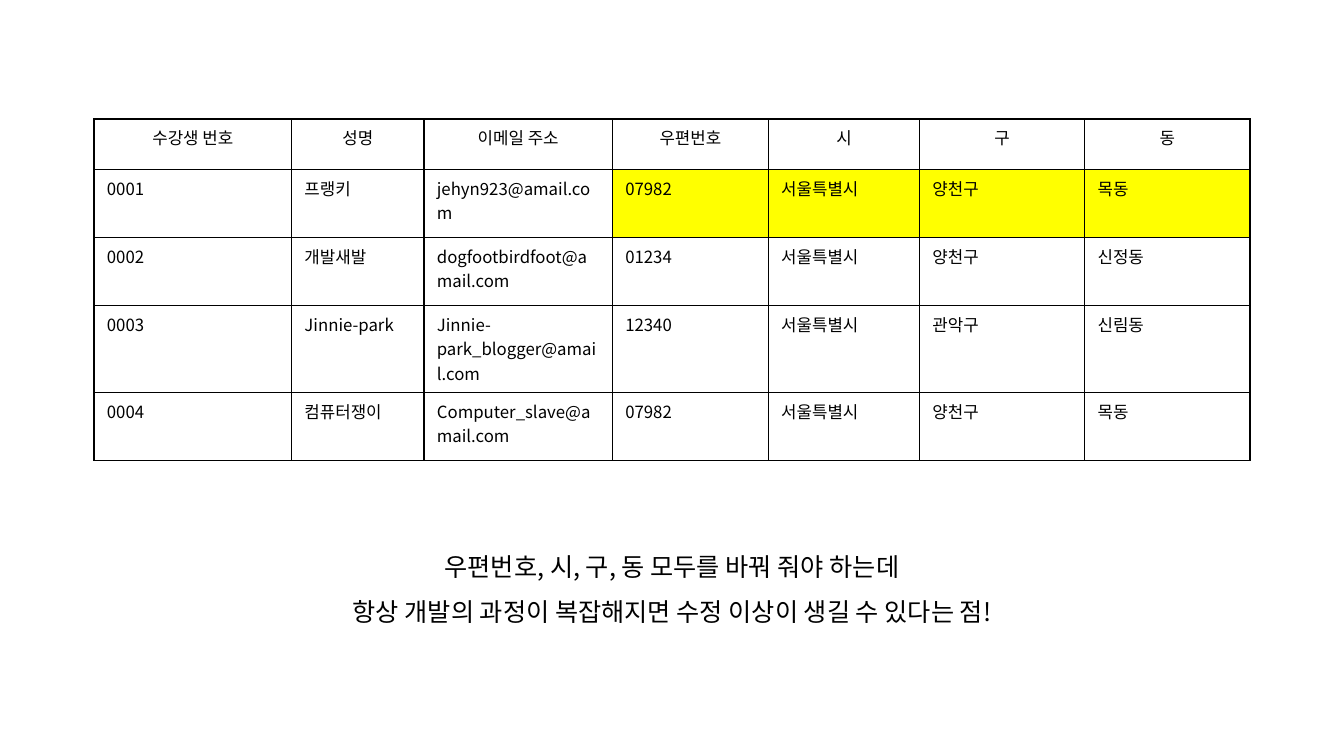
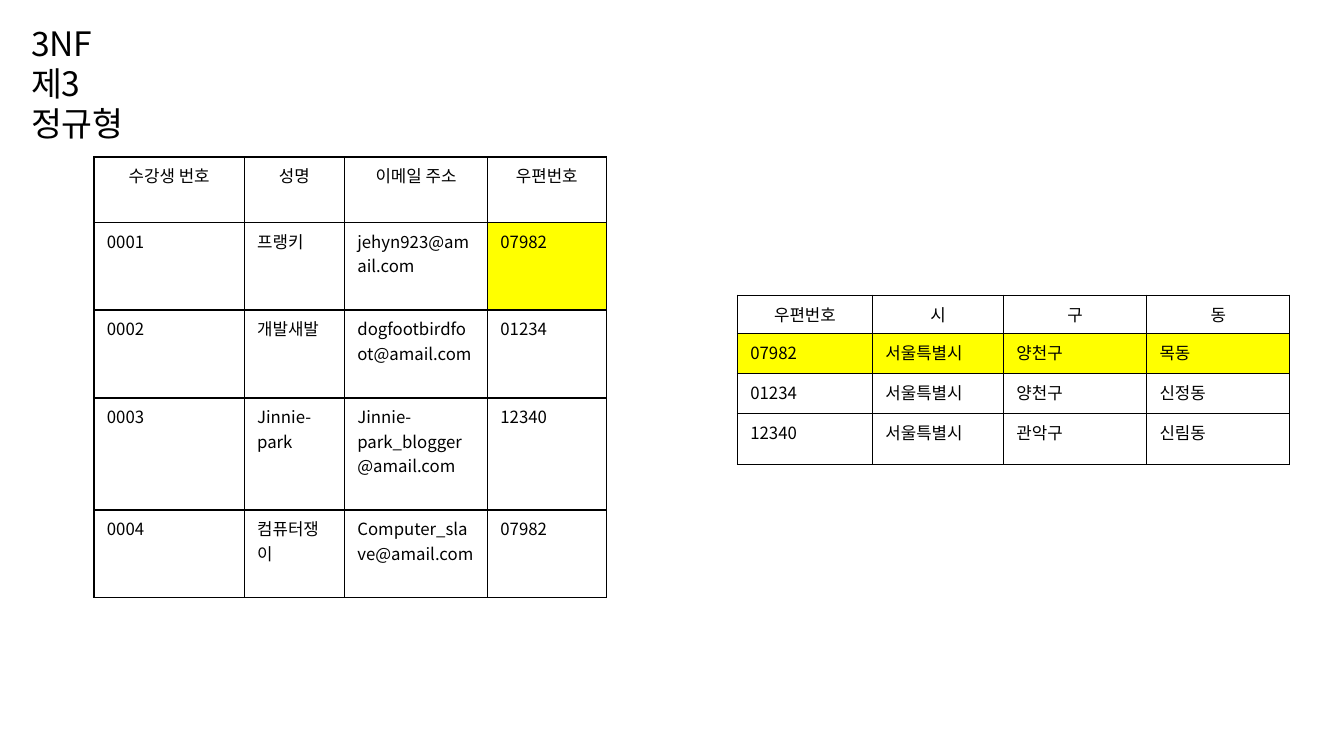
from dataclasses import dataclass

from lxml.etree import SubElement as Sub
from pptx import Presentation
from pptx.dml.color import RGBColor as RGB
from pptx.enum.text import MSO_ANCHOR as Anchor
from pptx.enum.text import MSO_AUTO_SIZE as Fit
from pptx.enum.text import PP_ALIGN as Align
from pptx.oxml.ns import qn
from pptx.util import Pt


@dataclass
class Theme:
    face: str = "Noto Sans CJK KR"
    ink: str = "000000"
    paper: str = "FFFFFF"
    mark: str = "FFFF00"
    cell: int = 12
    note: int = 18
    title: int = 24
    edge: int = 1


theme = Theme()


def write(para, text, size, align=Align.LEFT, pitch=None):
    """Add one run in the deck's font to a paragraph."""
    para.alignment = align
    if pitch:
        para.line_spacing = Pt(pitch)
    run = para.add_run()
    run.text = text
    font = run.font
    font.size, font.bold, font.name = Pt(size), False, theme.face
    font.color.rgb = RGB.from_string(theme.ink)
    Sub(font._element, qn("a:ea"), typeface=theme.face)


def grid(slide, left, top, cols, rows, data, marks):
    """Add a ruled table; the marked columns of its first record are lit."""
    frame = slide.shapes.add_table(len(rows), len(cols), Pt(left), Pt(top),
                                   Pt(sum(cols)), Pt(sum(rows)))
    table = frame.table
    table.first_row = table.horz_banding = False
    for col, width in zip(table.columns, cols):
        col.width = Pt(width)
    for row, height in zip(table.rows, rows):
        row.height = Pt(height)
    for r, texts in enumerate(data):
        for c, text in enumerate(texts):
            cell = table.cell(r, c)
            cell.margin_left = cell.margin_right = Pt(9.2)
            cell.margin_top = cell.margin_bottom = Pt(4.6)
            # Borders come before the fill in the cell's XML
            props = cell._tc.get_or_add_tcPr()
            for side in "LRTB":
                line = Sub(props, qn(f"a:ln{side}"), w=str(Pt(theme.edge)))
                fill = Sub(line, qn("a:solidFill"))
                Sub(fill, qn("a:srgbClr"), val=theme.ink)
            lit = r == 1 and c in marks
            cell.fill.solid()
            cell.fill.fore_color.rgb = RGB.from_string(
                theme.mark if lit else theme.paper)
            write(cell.text_frame.paragraphs[0], text, theme.cell,
                  Align.LEFT if r else Align.CENTER)


deck = Presentation()
deck.slide_width, deck.slide_height = Pt(960), Pt(540)

# Records shared by both slides
data = [
    ("수강생 번호", "성명", "이메일 주소", "우편번호", "시", "구", "동"),
    ("0001", "프랭키", "jehyn923@amail.com",
     "07982", "서울특별시", "양천구", "목동"),
    ("0002", "개발새발", "dogfootbirdfoot@amail.com",
     "01234", "서울특별시", "양천구", "신정동"),
    ("0003", "Jinnie-park", "Jinnie-park_blogger@amail.com",
     "12340", "서울특별시", "관악구", "신림동"),
    ("0004", "컴퓨터쟁이", "Computer_slave@amail.com",
     "07982", "서울특별시", "양천구", "목동"),
]
left = 67.2

# Slide 1: the whole table
slide = deck.slides.add_slide(deck.slide_layouts[6])
grid(slide, left, 85, (141.1, 94.6, 134.6, 111.4, 108, 118, 118),
     (36, 48.6, 48.6, 62.1, 48.6), data, range(3, 7))

# Slide 1: the remark below it
box = slide.shapes.add_textbox(Pt(70), Pt(380), Pt(820), Pt(72))
frame = box.text_frame
frame.word_wrap = True
notes = ("우편번호, 시, 구, 동 모두를 바꿔 줘야 하는데",
         "항상 개발의 과정이 복잡해지면 수정 이상이 생길 수 있다는 점!")
for n, text in enumerate(notes):
    para = frame.add_paragraph() if n else frame.paragraphs[0]
    write(para, text, theme.note, Align.CENTER, 32)

# Slide 2: title
slide = deck.slides.add_slide(deck.slide_layouts[5])
title = slide.shapes.title
title.left, title.top, title.width, title.height = (
    Pt(15), Pt(13), Pt(120), Pt(94))
frame = title.text_frame
frame.word_wrap, frame.auto_size = True, Fit.NONE
frame.vertical_anchor = Anchor.TOP
for n, text in enumerate(("3NF", "제3 정규형")):
    para = frame.add_paragraph() if n else frame.paragraphs[0]
    write(para, text, theme.title, pitch=28.6)

# Slide 2: students, then the postcodes split off from them
grid(slide, left, 112.2, (107.3, 71.6, 102.2, 84.7),
     (46.5, 62.8, 62.8, 80, 62.8), [row[:4] for row in data], [3])
grid(slide, 526.8, 210.8, (96.5, 93.6, 102.2, 102.2),
     (27.4, 28.6, 28.6, 36.4), [row[3:] for row in data[:4]], range(4))

deck.save("out.pptx")
